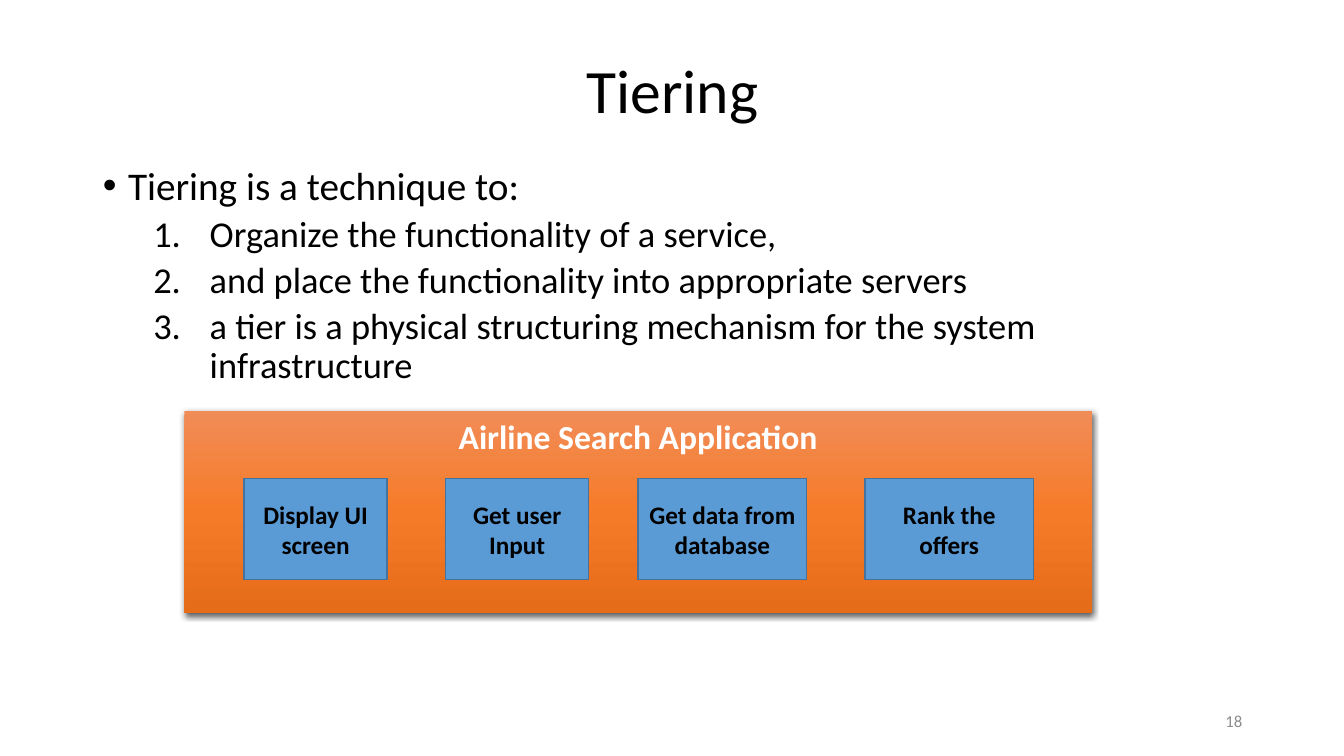
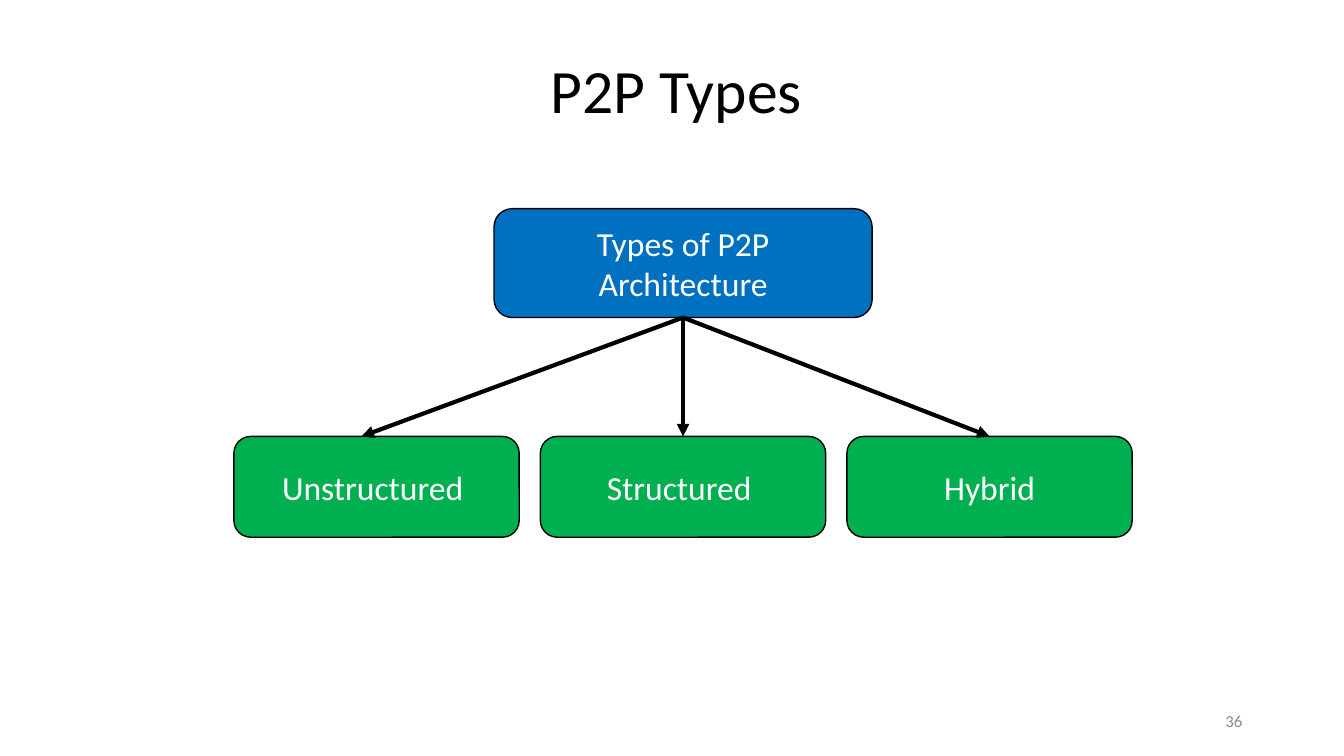
from dataclasses import dataclass

from lxml import etree
from pptx import Presentation
from pptx.dml.color import RGBColor
from pptx.enum.shapes import MSO_CONNECTOR, MSO_SHAPE
from pptx.enum.text import MSO_ANCHOR, MSO_AUTO_SIZE, PP_ALIGN
from pptx.oxml import parse_xml
from pptx.oxml.ns import nsdecls, qn
from pptx.util import Inches, Pt

FONT = "Calibri"
COLORS = {
    "black": "000000",
    "white": "FFFFFF",
    "gray": "8C8C8C",
    "task": "5B9BD5",
    "task_line": "43739E",
    "root": "0070C0",
    "type": "00B050",
    "app_top": "F18C57",
    "app_mid": "F67B28",
    "app_end": "E56C19",
}
TITLE_ONLY, TITLE_AND_BODY = 5, 1


@dataclass(frozen=True)
class Area:
    left: float
    top: float
    width: float
    height: float

    def lengths(self) -> tuple:
        return tuple(Inches(v) for v in (self.left, self.top, self.width, self.height))

    @property
    def center(self) -> float:
        return self.left + self.width / 2

    @property
    def bottom(self) -> float:
        return self.top + self.height


@dataclass(frozen=True)
class BoxStyle:
    shape: MSO_SHAPE
    fill: str
    line: str
    color: str
    size: int
    bold: bool = False


@dataclass(frozen=True)
class Task:
    text: str
    left: float
    width: float


TASK_STYLE = BoxStyle(MSO_SHAPE.RECTANGLE, "task", "task_line", "black", 18, True)
APP_STYLE = BoxStyle(MSO_SHAPE.RECTANGLE, "app_mid", "", "white", 24, True)
ROOT_STYLE = BoxStyle(MSO_SHAPE.ROUNDED_RECTANGLE, "root", "black", "white", 24)
TYPE_STYLE = BoxStyle(MSO_SHAPE.ROUNDED_RECTANGLE, "type", "black", "white", 24)

TASKS = [
    Task("Display UI screen", 2.42, 1.42),
    Task("Get user Input", 4.42, 1.42),
    Task("Get data from database", 6.33, 1.67),
    Task("Rank the offers", 8.58, 1.67),
]
STEPS = [
    "Organize the functionality of a service,",
    "and place the functionality into appropriate servers",
    "a tier is a physical structuring mechanism for the system infrastructure",
]


def rgb(name: str) -> RGBColor:
    return RGBColor.from_string(COLORS[name])


def format_runs(p, size: int, color: str, bold: bool = False) -> None:
    for r in p.runs:
        r.font.name = FONT
        r.font.size = Pt(size)
        r.font.bold = bold
        r.font.color.rgb = rgb(color)


def place(sp, area: Area) -> None:
    sp.left, sp.top, sp.width, sp.height = area.lengths()


def add_slide(prs, layout: int, title: str, title_area: Area, number: int):
    """Add a slide with its centred title and page number."""
    slide = prs.slides.add_slide(prs.slide_layouts[layout])
    sp = slide.shapes.title
    place(sp, title_area)
    tf = sp.text_frame
    tf.text = title
    tf.auto_size = MSO_AUTO_SIZE.NONE
    tf.vertical_anchor = MSO_ANCHOR.MIDDLE
    p = tf.paragraphs[0]
    p.alignment = PP_ALIGN.CENTER
    p.line_spacing = 0.9
    format_runs(p, 44, "black")

    tf = slide.shapes.add_textbox(*Area(9.42, 6.95, 3, 0.4).lengths()).text_frame
    tf.word_wrap = True
    tf.vertical_anchor = MSO_ANCHOR.MIDDLE
    p = tf.paragraphs[0]
    p.text = str(number)
    p.alignment = PP_ALIGN.RIGHT
    format_runs(p, 12, "gray")
    return slide


def add_box(slide, text: str, area: Area, style: BoxStyle, anchor=MSO_ANCHOR.MIDDLE):
    sp = slide.shapes.add_shape(style.shape, *area.lengths())
    sp.shadow.inherit = False
    sp.fill.solid()
    sp.fill.fore_color.rgb = rgb(style.fill)
    if style.line:
        sp.line.color.rgb = rgb(style.line)
        sp.line.width = Pt(1)
    else:
        sp.line.fill.background()
    tf = sp.text_frame
    tf.word_wrap = True
    tf.vertical_anchor = anchor
    p = tf.paragraphs[0]
    p.text = text
    p.alignment = PP_ALIGN.CENTER
    format_runs(p, style.size, style.color, style.bold)
    return sp


def add_glow(sp) -> None:
    """Give a shape the orange gradient and a soft shadow below."""
    stops = "".join(
        f'<a:gs pos="{pos}"><a:srgbClr val="{COLORS[name]}"/></a:gs>'
        for pos, name in ((0, "app_top"), (50000, "app_mid"), (100000, "app_end"))
    )
    gradient = parse_xml(
        f'<a:gradFill {nsdecls("a")}><a:gsLst>{stops}</a:gsLst>'
        '<a:lin ang="5400000" scaled="0"/></a:gradFill>'
    )
    shadow = parse_xml(
        f'<a:outerShdw {nsdecls("a")} blurRad="{Pt(4.5)}" dist="{Pt(1.5)}" '
        'dir="5400000" algn="ctr" rotWithShape="0">'
        f'<a:srgbClr val="{COLORS["black"]}"><a:alpha val="63000"/></a:srgbClr>'
        "</a:outerShdw>"
    )
    props = sp._element.spPr
    props.replace(props.find(qn("a:solidFill")), gradient)
    props.find(qn("a:effectLst")).append(shadow)


def add_arrow(slide, start: tuple[float, float], end: tuple[float, float]) -> None:
    line = slide.shapes.add_connector(
        MSO_CONNECTOR.STRAIGHT, *(Inches(v) for v in (*start, *end))
    )
    line.line.color.rgb = rgb("black")
    line.line.width = Pt(3)
    etree.SubElement(line.line._get_or_add_ln(), qn("a:tailEnd"), type="triangle")
    etree.SubElement(line._element.spPr, qn("a:effectLst"))


def format_item(p, size: int, margin: float, indent: float, before: int, bullet: str) -> None:
    """Format a list item; an empty bullet means automatic numbers."""
    props = p._p.get_or_add_pPr()
    props.set("marL", str(Inches(margin)))
    props.set("indent", str(Inches(indent)))
    if bullet:
        etree.SubElement(props, qn("a:buFont"), typeface="Arial")
        etree.SubElement(props, qn("a:buChar"), char=bullet)
    else:
        etree.SubElement(props, qn("a:buFont"), typeface="+mj-lt")
        etree.SubElement(props, qn("a:buAutoNum"), type="arabicPeriod")
    p.line_spacing = 0.9
    p.space_before = Pt(before)
    format_runs(p, size, "black")


def build_tiering(prs) -> None:
    slide = add_slide(prs, TITLE_AND_BODY, "Tiering", Area(2.17, 0.35, 9, 1.15), 18)

    # List
    body = slide.placeholders[1]
    place(body, Area(0.92, 1.6, 11.5, 4.76))
    tf = body.text_frame
    tf.auto_size = MSO_AUTO_SIZE.NONE
    p = tf.paragraphs[0]
    p.text = "Tiering is a technique to:"
    format_item(p, 28, 0.25, -0.25, 0, "•")
    for step in STEPS:
        p = tf.add_paragraph()
        p.text = step
        p.level = 1
        format_item(p, 26, 1.06, -0.56, 5, "")

    # Application and its tasks
    app = add_box(slide, "Airline Search Application", Area(1.83, 4.08, 9, 2),
                  APP_STYLE, MSO_ANCHOR.TOP)
    add_glow(app)
    for task in TASKS:
        add_box(slide, task.text, Area(task.left, 4.75, task.width, 1), TASK_STYLE)


def build_p2p_types(prs) -> None:
    slide = add_slide(prs, TITLE_ONLY, "P2P Types", Area(1.92, 0.3, 9.58, 1.25), 36)

    # Root and its types
    root = Area(4.9, 2.07, 3.75, 1.08)
    add_box(slide, "Types of P2P Architecture", root, ROOT_STYLE)
    types = [Area(2.32 + i * 3.04, 4.33, 2.83, 1) for i in range(3)]
    for text, area in zip(("Unstructured ", "Structured ", "Hybrid"), types):
        add_box(slide, text, area, TYPE_STYLE)

    # Arrows, the first one ending left of its box's centre
    for area, shift in zip(types, (-0.15, 0, 0)):
        add_arrow(slide, (root.center, root.bottom), (area.center + shift, area.top))


def main() -> None:
    prs = Presentation()
    prs.slide_width, prs.slide_height = Inches(13.33), Inches(7.5)
    build_tiering(prs)
    build_p2p_types(prs)
    prs.save("out.pptx")


if __name__ == "__main__":
    main()
